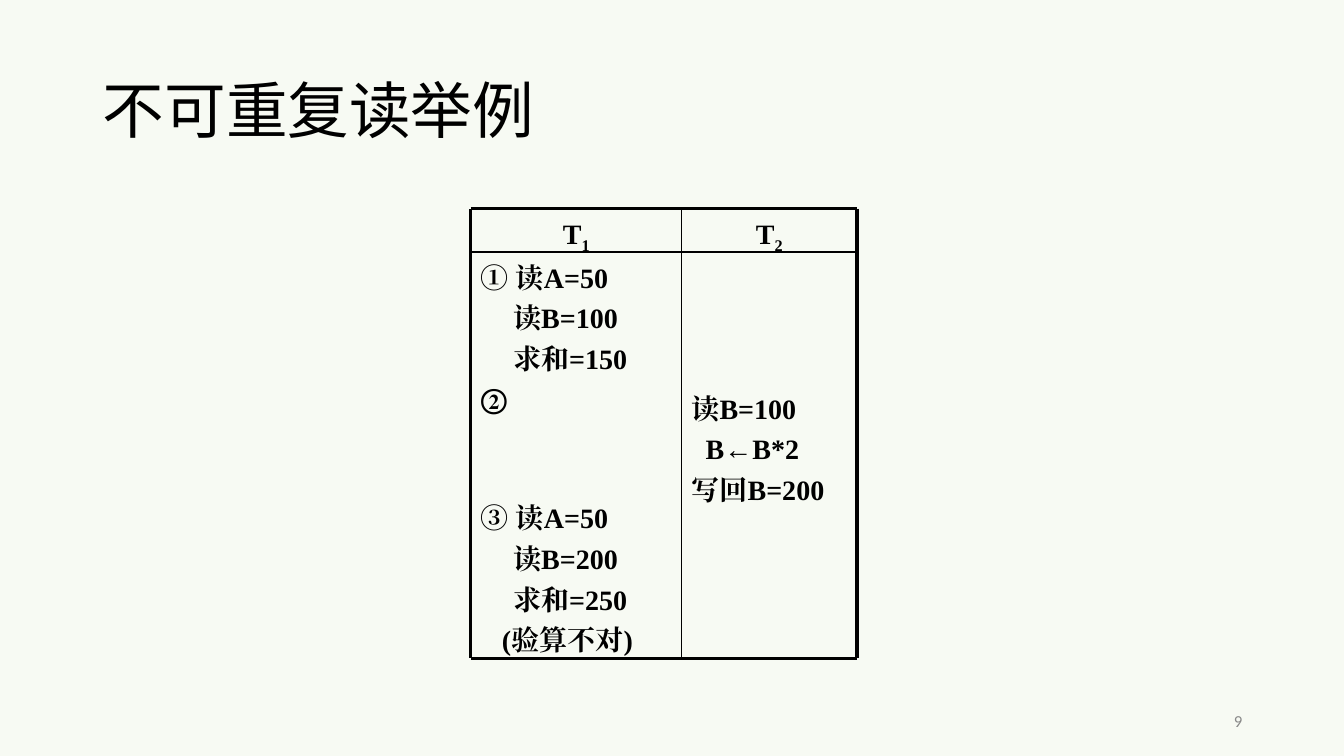
from itertools import accumulate

from lxml.etree import SubElement
from pptx import Presentation
from pptx.dml.color import RGBColor
from pptx.enum.shapes import MSO_CONNECTOR
from pptx.enum.text import MSO_ANCHOR, PP_ALIGN
from pptx.oxml.ns import qn
from pptx.util import Inches, Pt

TITLE = "不可重复读举例"
PAGE_NUMBER = "9"
TRANSACTIONS = [("T", "1"), ("T", "2")]
# text, left indent in inches, space before in points
STEPS = [
    [
        ("① 读A=50", 0, 0),
        ("读B=100", 0.32, 5),
        ("求和=150", 0.32, 5),
        ("②", 0, 5),
        ("③ 读A=50", 0, 61),
        ("读B=200", 0.32, 5),
        ("求和=250", 0.32, 5),
        ("(验算不对)", 0.21, 5),
    ],
    [
        ("读B=100", 0, 0),
        ("B←B*2", 0.14, 5),
        ("写回B=200", 0, 5),
    ],
]
HEADER_INSET = 0.08
STEP_INSETS = [0.08, 1.38]
COLUMN_EDGES = list(accumulate([4.67, 2.09, 1.74]))
ROW_EDGES = list(accumulate([2.07, 0.43, 4.03]))
RULE_WIDTHS = [2.25, 1, 2.25]

BLACK = RGBColor(0, 0, 0)
GREY = RGBColor(0x89, 0x89, 0x89)
PALE_GREEN = RGBColor(0xF7, 0xFA, 0xF3)
HEADING_FONT = "Noto Sans CJK SC"
SCHEDULE_FONT = "Times New Roman"


def add_run(paragraph, text, size, name, color, bold=False):
    run = paragraph.add_run()
    run.text = text
    run.font.size = Pt(size)
    run.font.name = name
    run.font.bold = bold
    run.font.color.rgb = color
    SubElement(run.font._element, qn("a:ea"), typeface=name)
    return run


def add_cell(slide, column, row, inset):
    left, right = COLUMN_EDGES[column:column + 2]
    top, bottom = ROW_EDGES[row:row + 2]
    cell = slide.shapes.add_textbox(
        Inches(left), Inches(top), Inches(right - left), Inches(bottom - top))
    cell.text_frame.word_wrap = True
    cell.text_frame.margin_top = Inches(inset)
    return cell.text_frame


def add_header(slide, column, label, index):
    paragraph = add_cell(slide, column, 0, HEADER_INSET).paragraphs[0]
    paragraph.alignment = PP_ALIGN.CENTER
    add_run(paragraph, label, 20, SCHEDULE_FONT, BLACK, True)
    subscript = add_run(paragraph, index, 20, SCHEDULE_FONT, BLACK, True)
    subscript.font._element.set("baseline", "-25000")


def add_steps(slide, column, steps):
    frame = add_cell(slide, column, 1, STEP_INSETS[column])
    for number, (text, indent, gap) in enumerate(steps):
        paragraph = frame.add_paragraph() if number else frame.paragraphs[0]
        paragraph.alignment = PP_ALIGN.JUSTIFY
        paragraph.space_before = Pt(gap)
        paragraph._p.get_or_add_pPr().set("marL", str(Inches(indent)))
        add_run(paragraph, text, 20, SCHEDULE_FONT, BLACK, True)


def add_rule(slide, x1, y1, x2, y2, width):
    rule = slide.shapes.add_connector(
        MSO_CONNECTOR.STRAIGHT, Inches(x1), Inches(y1), Inches(x2), Inches(y2))
    rule.line.color.rgb = BLACK
    rule.line.width = Pt(width)
    SubElement(rule._element.spPr, qn("a:effectLst"))


def add_schedule(slide):
    for column, (transaction, steps) in enumerate(zip(TRANSACTIONS, STEPS)):
        add_header(slide, column, *transaction)
        add_steps(slide, column, steps)
    for y, width in zip(ROW_EDGES, RULE_WIDTHS):
        add_rule(slide, COLUMN_EDGES[0], y, COLUMN_EDGES[-1], y, width)
    for x, width in zip(COLUMN_EDGES, RULE_WIDTHS):
        add_rule(slide, x, ROW_EDGES[0], x, ROW_EDGES[-1], width)


def main():
    deck = Presentation()
    deck.slide_width, deck.slide_height = Inches(13.33), Inches(7.5)
    slide = deck.slides.add_slide(deck.slide_layouts[5])
    slide.background.fill.solid()
    slide.background.fill.fore_color.rgb = PALE_GREEN

    title = slide.shapes.title
    title.left, title.top = Inches(0.92), Inches(0.4)
    title.width, title.height = Inches(11.5), Inches(1.45)
    title.text_frame.vertical_anchor = MSO_ANCHOR.MIDDLE
    heading = title.text_frame.paragraphs[0]
    heading.alignment = PP_ALIGN.LEFT
    heading.line_spacing = 0.9
    add_run(heading, TITLE, 44, HEADING_FONT, BLACK)

    add_schedule(slide)

    page = slide.shapes.add_textbox(
        Inches(9.42), Inches(6.95), Inches(3), Inches(0.4))
    page.text_frame.word_wrap = True
    page.text_frame.vertical_anchor = MSO_ANCHOR.MIDDLE
    page_line = page.text_frame.paragraphs[0]
    page_line.alignment = PP_ALIGN.RIGHT
    add_run(page_line, PAGE_NUMBER, 12, "Calibri", GREY)
    deck.save("out.pptx")


if __name__ == "__main__":
    main()
